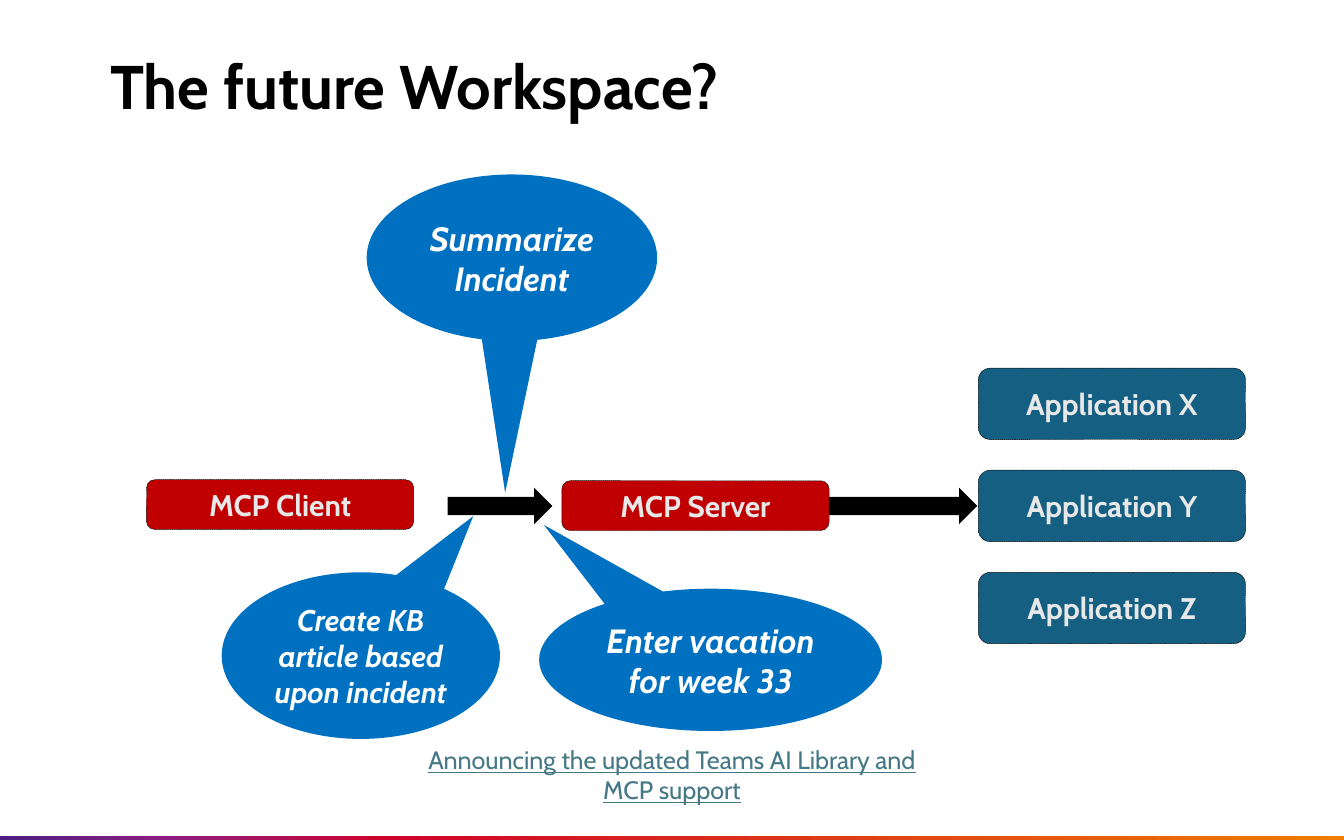
import pptx
import pptx.dml.color
import pptx.enum.dml
import pptx.enum.shapes
import pptx.enum.text
import pptx.oxml
import pptx.oxml.ns
import pptx.util

Cm = pptx.util.Cm
RGBColor = pptx.dml.color.RGBColor
SHAPE = pptx.enum.shapes.MSO_SHAPE
ALIGN = pptx.enum.text.PP_ALIGN
MIDDLE = pptx.enum.text.MSO_ANCHOR.MIDDLE

BLACK = RGBColor(0x00, 0x00, 0x00)
WHITE = RGBColor(0xFF, 0xFF, 0xFF)
LIGHT_GREY = RGBColor(0xE8, 0xE8, 0xE8)
RED = RGBColor(0xC0, 0x00, 0x00)
TEAL = RGBColor(0x15, 0x60, 0x82)
BLUE = RGBColor(0x00, 0x70, 0xC0)
LINK = RGBColor(0x46, 0x78, 0x86)
BAR_STOPS = [
    (0, RGBColor(0x4D, 0x1D, 0x82)),
    (12, RGBColor(0x8B, 0x1D, 0x82)),
    (29, RGBColor(0xCF, 0x02, 0x2B)),
    (100, RGBColor(0xF0, 0x7D, 0x00)),
]

presentation = pptx.Presentation()
presentation.slide_width = Cm(25.4)
presentation.slide_height = Cm(15.88)
slide = presentation.slides.add_slide(presentation.slide_layouts[6])


def add_filled_shape(kind, left, top, width, height, color):
    shape = slide.shapes.add_shape(kind, Cm(left), Cm(top), Cm(width), Cm(height))
    shape.shadow.inherit = False
    shape.fill.solid()
    shape.fill.fore_color.rgb = color
    shape.line.fill.background()
    return shape


def write_text(shape, text, size, color, bold=True, italic=False, align=ALIGN.CENTER):
    text_frame = shape.text_frame
    text_frame.text = text
    text_frame.word_wrap = True
    text_frame.margin_left = text_frame.margin_right = Cm(0.18)
    text_frame.margin_top = text_frame.margin_bottom = Cm(0.1)
    text_frame.vertical_anchor = MIDDLE
    paragraph = text_frame.paragraphs[0]
    paragraph.alignment = align
    font = paragraph.runs[0].font
    font.name = "Cabin"
    font.size = pptx.util.Pt(size)
    font.bold = bold
    font.italic = italic
    font.color.rgb = color
    return paragraph


# Gradient bar along the bottom edge
bar = add_filled_shape(SHAPE.RECTANGLE, 0, 15.8, 25.4, 0.1, RED)
bar.fill.gradient()
bar.fill.gradient_angle = 0
stop_list = bar._element.spPr.find(".//" + pptx.oxml.ns.qn("a:gsLst"))
for old_stop in list(stop_list):
    stop_list.remove(old_stop)
for percent, color in BAR_STOPS:
    stop_list.append(pptx.oxml.parse_xml(
        f'<a:gs {pptx.oxml.ns.nsdecls("a")} pos="{percent * 1000}">'
        f'<a:srgbClr val="{color}"/></a:gs>'))

# Title
title = slide.shapes.add_textbox(Cm(1.83), Cm(0.94), Cm(22.05), Cm(1.52))
paragraph = write_text(title, "The future Workspace?", 33, BLACK, align=ALIGN.LEFT)
paragraph.line_spacing = 0.9
title.text_frame.margin_left = Cm(0.25)

# Client, server and the stack of applications
boxes = [
    ("MCP Client", 2.77, 9.07, 0.94, RED),
    ("MCP Server", 10.62, 9.09, 0.94, RED),
]
for index, letter in enumerate("XYZ"):
    boxes.append((f"Application {letter}", 18.49, 6.96 + index * 1.93, 1.35, TEAL))
for text, left, top, height, color in boxes:
    box = add_filled_shape(SHAPE.ROUNDED_RECTANGLE, left, top, 5.05, height, color)
    box.line.color.rgb = BLACK
    box.line.width = pptx.util.Pt(0.25)
    box.line.dash_style = pptx.enum.dml.MSO_LINE.SQUARE_DOT
    write_text(box, text, 16, LIGHT_GREY)

# Block arrows from client to server to applications
for left, width in [(8.46, 1.98), (15.67, 2.8)]:
    add_filled_shape(SHAPE.RIGHT_ARROW, left, 9.22, width, 0.69, BLACK)

# Callouts with example requests; the pointer is relative to the ellipse
callouts = [
    ("Enter vacation for week 33", 10.19, 11.13, 6.48, 2.69, (-0.486, -0.948), 18),
    ("Summarize Incident", 6.93, 3.3, 5.49, 3.15, (-0.023, 1.41), 18),
    ("Create KB article based upon incident", 4.19, 10.82, 5.26, 3.15, (0.404, -0.837), 16),
]
for text, left, top, width, height, pointer, size in callouts:
    callout = add_filled_shape(SHAPE.OVAL_CALLOUT, left, top, width, height, BLUE)
    callout.adjustments[0], callout.adjustments[1] = pointer
    write_text(callout, text, size, WHITE, italic=True)

# Reference line
reference = slide.shapes.add_textbox(Cm(7.85), Cm(13.97), Cm(9.7), Cm(1.35))
paragraph = write_text(
    reference, "Announcing the updated Teams AI Library and MCP support", 13.5, LINK, bold=False)
paragraph.runs[0].font.underline = True

presentation.save("out.pptx")
